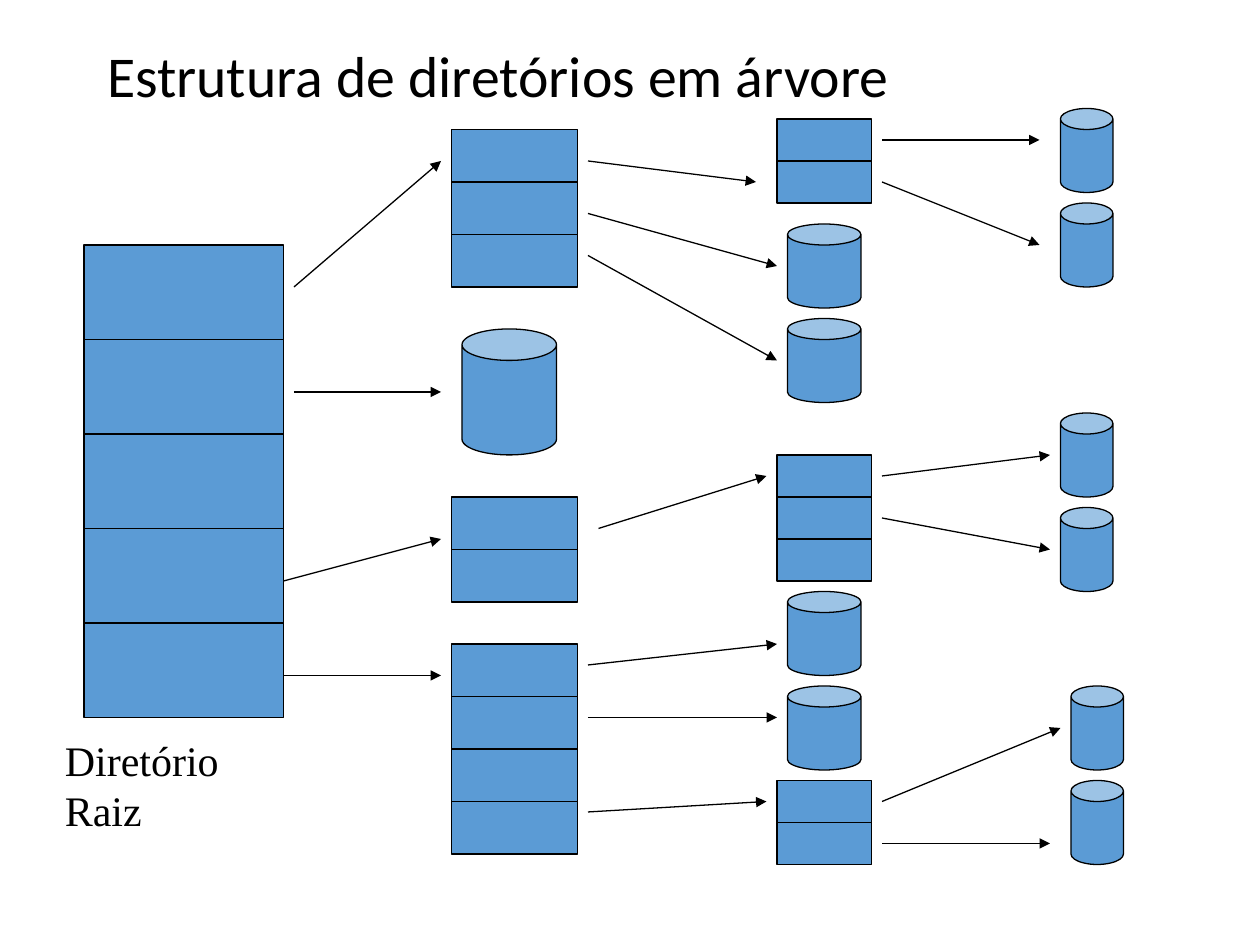
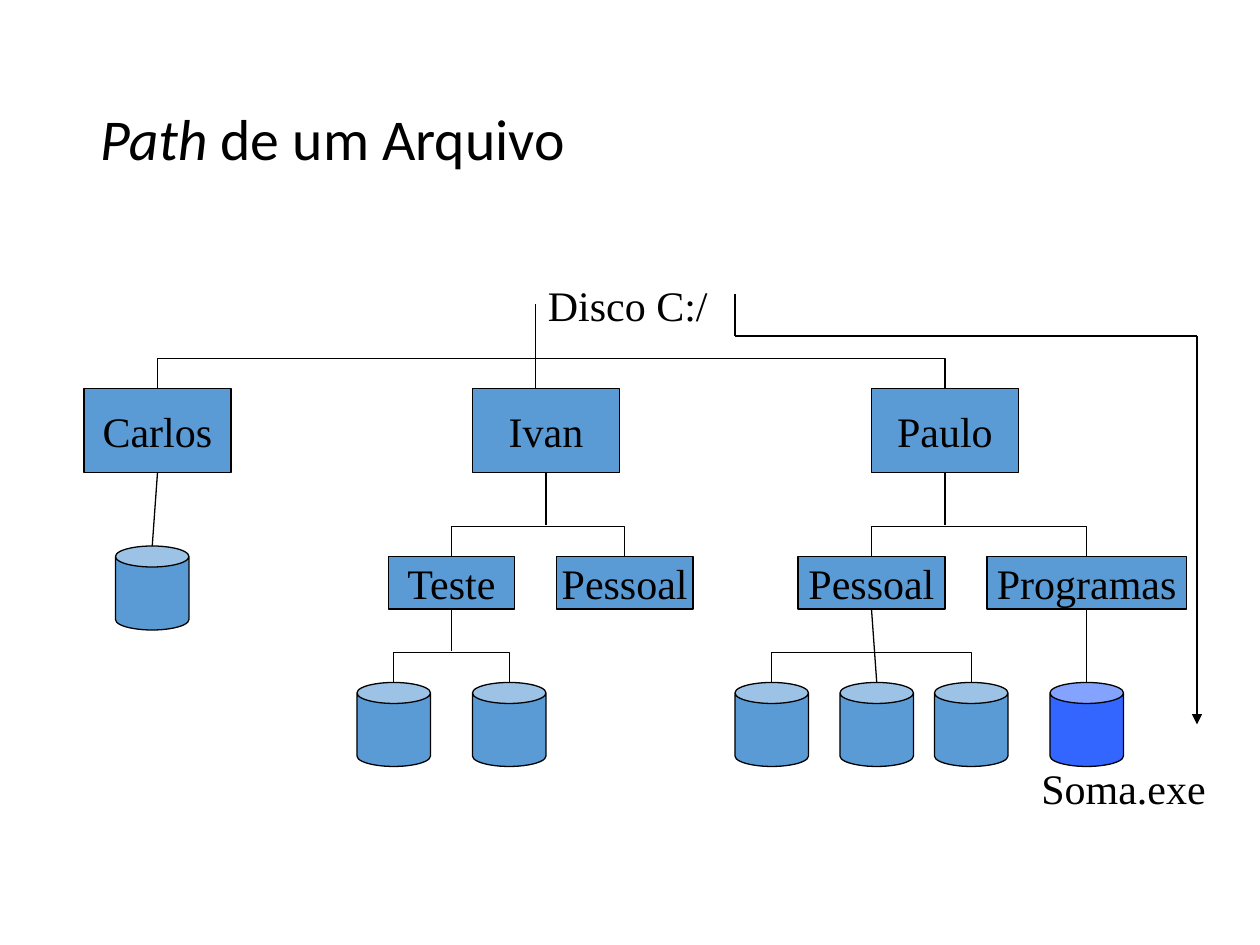
from lxml import etree
from pptx import Presentation
from pptx.dml.color import RGBColor
from pptx.enum.shapes import MSO_CONNECTOR, MSO_SHAPE
from pptx.enum.text import MSO_ANCHOR, MSO_AUTO_SIZE, PP_ALIGN
from pptx.oxml.ns import qn
from pptx.util import Pt

RECTANGLE, CAN = MSO_SHAPE.RECTANGLE, MSO_SHAPE.CAN
STRAIGHT, ELBOW = MSO_CONNECTOR.STRAIGHT, MSO_CONNECTOR.ELBOW
MIDDLE = MSO_ANCHOR.MIDDLE
LEFT, CENTER = PP_ALIGN.LEFT, PP_ALIGN.CENTER
FIT_SHAPE, NO_FIT = MSO_AUTO_SIZE.SHAPE_TO_FIT_TEXT, MSO_AUTO_SIZE.NONE

COLORS = {"ink": "000000", "node": "5B9BD5", "target": "3366FF", "page": "FFFFFF"}
TITLE_FONT, LABEL_FONT = "Calibri", "Times New Roman"
TITLE_SIZE, LABEL_SIZE = 33, 24
LINE_WIDTH = 0.75
TITLE_ONLY = 5
BOTTOM = 2  # connection site of a rectangle


def color(name):
    return RGBColor.from_string(COLORS[name])


class TreeDeck:
    """Holds the shared style and the slide being drawn."""

    def __init__(self):
        self.deck = Presentation()
        self.deck.slide_width, self.deck.slide_height = Pt(720), Pt(540)
        self.page = None

    def add_page(self, spans, left, top, width, height):
        """Start a slide; spans are (text, italic) parts of its title."""
        self.page = self.deck.slides.add_slide(self.deck.slide_layouts[TITLE_ONLY])
        fill = self.page.background.fill
        fill.solid()
        fill.fore_color.rgb = color("page")
        title = self.page.shapes.title
        title.left, title.top = Pt(left), Pt(top)
        title.width, title.height = Pt(width), Pt(height)
        frame = title.text_frame
        frame.vertical_anchor, frame.auto_size = MIDDLE, NO_FIT
        para = frame.paragraphs[0]
        para.line_spacing = 0.9
        for text, italic in spans:
            span = para.add_run()
            span.text = text
            span.font.italic = italic
        self.style_para(para, TITLE_FONT, TITLE_SIZE, LEFT)

    def style_para(self, para, font_name, size, align):
        para.alignment = align
        para.font.name, para.font.size = font_name, Pt(size)
        para.font.color.rgb = color("ink")

    def add_node(self, kind, left, top, width, height, fill="node"):
        node = self.page.shapes.add_shape(kind, Pt(left), Pt(top), Pt(width), Pt(height))
        node.shadow.inherit = False
        node.fill.solid()
        node.fill.fore_color.rgb = color(fill)
        node.line.color.rgb = color("ink")
        node.line.width = Pt(LINE_WIDTH)
        return node

    def add_file(self, left, top, width=42, height=48, lid=12, fill="node"):
        can = self.add_node(CAN, left, top, width, height, fill)
        can.adjustments[0] = lid / width

    def add_directory(self, left, top, width, row_height, rows):
        for row in range(rows):
            self.add_node(RECTANGLE, left, top + row * row_height, width, row_height)

    def add_named_box(self, text, left, top, width, height):
        box = self.add_node(RECTANGLE, left, top, width, height)
        frame = box.text_frame
        frame.word_wrap, frame.vertical_anchor = False, MIDDLE
        frame.text = text
        self.style_para(frame.paragraphs[0], LABEL_FONT, LABEL_SIZE, CENTER)
        return box

    def add_label(self, text, left, top, width, wrap=False):
        box = self.page.shapes.add_textbox(Pt(left), Pt(top), Pt(width), Pt(36))
        frame = box.text_frame
        frame.word_wrap, frame.auto_size = wrap, FIT_SHAPE
        frame.text = text
        self.style_para(frame.paragraphs[0], LABEL_FONT, LABEL_SIZE, LEFT)

    def add_line(self, x1, y1, x2, y2, arrow=False, kind=STRAIGHT):
        line = self.page.shapes.add_connector(kind, Pt(x1), Pt(y1), Pt(x2), Pt(y2))
        line.line.color.rgb = color("ink")
        line.line.width = Pt(LINE_WIDTH)
        if arrow:
            etree.SubElement(line.line._get_or_add_ln(), qn("a:tailEnd"), type="triangle")
        etree.SubElement(line.element.spPr, qn("a:effectLst"))
        return line

    def add_bracket(self, x1, x2, y, rise=18, depth=0.12):
        """Elbow from (x1, y) up by rise, across, and down to (x2, y)."""
        middle, half_span = (x1 + x2) / 2, (x2 - x1) / 2
        elbow = self.add_line(middle - depth / 2, y + half_span,
                              middle + depth / 2, y - half_span, kind=ELBOW)
        properties = elbow.element.spPr
        properties.find(qn("a:xfrm")).set("rot", "5400000")
        guides = properties.find(qn("a:prstGeom")).find(qn("a:avLst"))
        bend = round(-rise / depth * 100000)
        etree.SubElement(guides, qn("a:gd"), name="adj1", fmla=f"val {bend}")


def draw_directory_tree(tree):
    tree.add_page([("Estrutura de diretórios em árvore", False)], 54, 0, 612, 90)

    # Directories: left, top, width, row height, rows
    for directory in [
        (48, 140, 114, 54, 5),
        (258, 74, 72, 30, 3), (258, 284, 72, 30, 2), (258, 368, 72, 30, 4),
        (444, 68, 54, 24, 2), (444, 260, 54, 24, 3), (444, 446, 54, 24, 2),
    ]:
        tree.add_directory(*directory)

    # Files, in pairs one above the other
    tree.add_file(264, 188, 54, 72, lid=18)
    for left, first_top, width in [
        (450, 128, 42), (450, 338, 42),
        (606, 62, 30), (606, 236, 30), (612, 392, 30),
    ]:
        for top in (first_top, first_top + 54):
            tree.add_file(left, top, width)

    # Arrows from each directory entry to what it holds
    for ends in [
        (168, 164, 252, 92), (168, 224, 252, 224),
        (162, 332, 252, 308), (162, 386, 252, 386),
        (336, 92, 432, 104), (336, 122, 444, 152), (336, 146, 444, 206),
        (342, 302, 438, 272), (336, 380, 444, 368),
        (336, 410, 444, 410), (336, 464, 438, 458),
        (504, 80, 594, 80), (504, 104, 594, 140),
        (504, 272, 600, 260), (504, 296, 600, 314),
        (504, 458, 606, 416), (504, 482, 600, 482),
    ]:
        tree.add_line(*ends, arrow=True)

    tree.add_label("Diretório Raiz", 30, 416, 152)


def draw_file_path(tree):
    tree.add_page([("Path", True), (" de um Arquivo", False)], 50, 29, 621, 104)

    # Files
    tree.add_file(66, 312)
    for left in (204, 270, 420, 480, 534):
        tree.add_file(left, 390)
    tree.add_file(600, 390, fill="target")

    # Brackets: left end, right end, foot
    for bracket in [(90, 540, 222), (258, 357, 318), (498, 621, 318),
                    (225, 291, 390), (441, 555, 390)]:
        tree.add_bracket(*bracket)

    # Directories, each with the lower end of its stem
    for name, left, top, width, height, stem_end in [
        ("Carlos", 48, 222, 84, 48, (87, 312)),
        ("Ivan", 270, 222, 84, 48, (312, 300)),
        ("Paulo", 498, 222, 84, 48, (540, 300)),
        ("Teste", 222, 318, 72, 30, (258, 372)),
        ("Pessoal", 318, 318, 78, 30, None),
        ("Pessoal", 456, 318, 84, 30, (501, 390)),
        ("Programas", 564, 318, 114, 30, (621, 390)),
    ]:
        box = tree.add_named_box(name, left, top, width, height)
        if stem_end:
            stem = tree.add_line(left + width / 2, top + height, *stem_end)
            stem.begin_connect(box, BOTTOM)

    # Disk root
    tree.add_line(306, 174, 306, 222)
    tree.add_label("Disco C:/", 306, 156, 106)
    tree.add_label("Soma.exe", 588, 432, 109, wrap=True)

    # Path from the disk to the file
    corners = [(420, 168), (420, 192), (684, 192), (684, 414)]
    for start, end in zip(corners, corners[1:]):
        tree.add_line(*start, *end, arrow=end == corners[-1])


def main():
    tree = TreeDeck()
    draw_directory_tree(tree)
    draw_file_path(tree)
    tree.deck.save("out.pptx")


if __name__ == "__main__":
    main()
